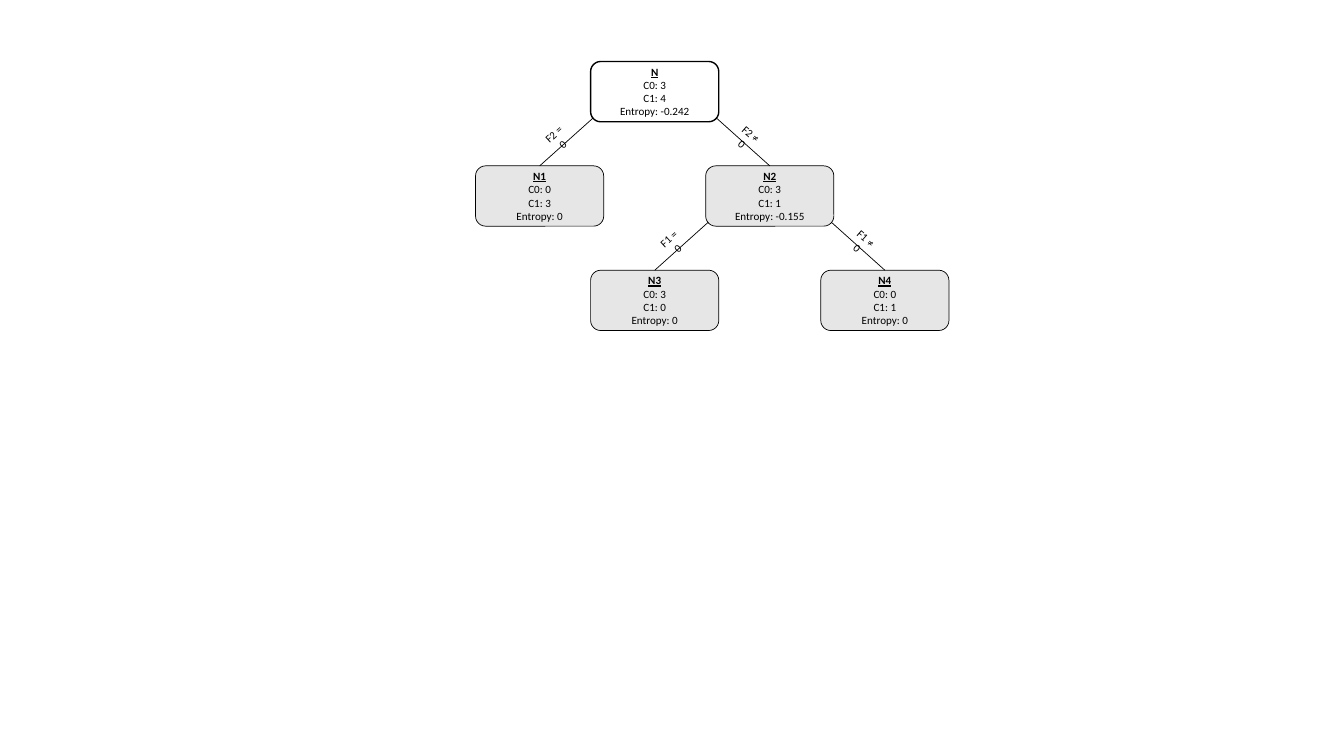
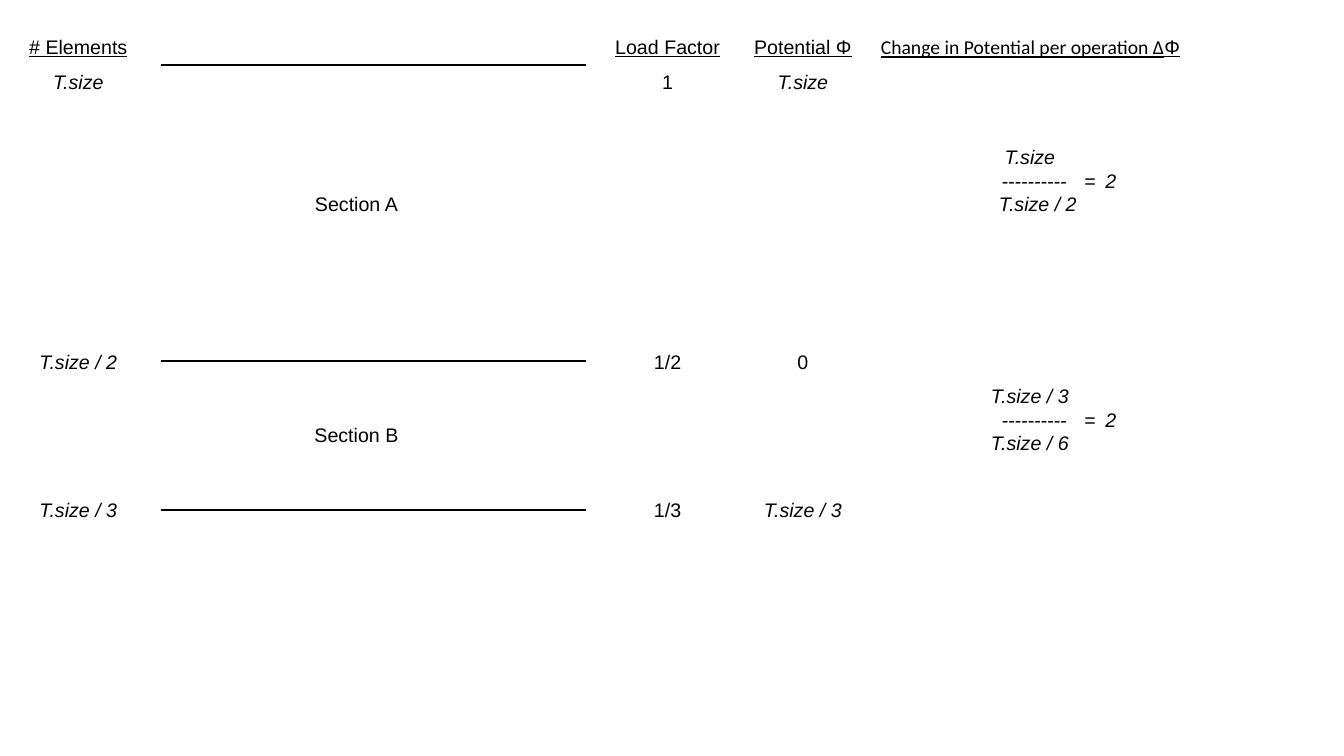
from lxml import etree
from pptx import Presentation
from pptx.dml.color import RGBColor
from pptx.enum.shapes import MSO_CONNECTOR, MSO_SHAPE
from pptx.enum.text import MSO_ANCHOR, MSO_AUTO_SIZE, PP_ALIGN
from pptx.oxml.ns import qn
from pptx.util import Cm, Pt

BLACK = RGBColor(0x00, 0x00, 0x00)
WHITE = RGBColor(0xFF, 0xFF, 0xFF)
LIGHT_GRAY = RGBColor(0xE7, 0xE6, 0xE6)
CENTER = PP_ALIGN.CENTER
LEFT = PP_ALIGN.LEFT
MIDDLE = MSO_ANCHOR.MIDDLE
FIT_SHAPE = MSO_AUTO_SIZE.SHAPE_TO_FIT_TEXT
STRAIGHT = MSO_CONNECTOR.STRAIGHT
ROUNDED = MSO_SHAPE.ROUNDED_RECTANGLE
BLANK_LAYOUT = 6
TOP_SIDE = 0

NODE_WIDTH, NODE_HEIGHT = 3.23, 1.52
LEVEL_TOP, LEVEL_STEP = 1.55, 2.63
ROOT_CENTER, BRANCH_STEP = 16.5, 2.9
CELL_WIDTH, CELL_HEIGHT = 3.23, 0.86


class Deck:
    tree_font, tree_size = "Calibri", 7.9
    table_font, table_size = "Arial", 14

    def __init__(self):
        self.presentation = Presentation()
        self.presentation.slide_width = Cm(33.87)
        self.presentation.slide_height = Cm(19.05)
        self.slide = None

    def new_slide(self):
        layout = self.presentation.slide_layouts[BLANK_LAYOUT]
        self.slide = self.presentation.slides.add_slide(layout)

    def add_run(self, paragraph, text, font, size, bold=False, italic=False, underline=False):
        run = paragraph.add_run()
        run.text = text
        run.font.name = font
        run.font.size = Pt(size)
        run.font.bold = bold
        run.font.italic = italic
        run.font.underline = underline
        run.font.color.rgb = BLACK

    def add_paragraph(self, frame, index, alignment=CENTER):
        paragraph = frame.add_paragraph() if index else frame.paragraphs[0]
        paragraph.alignment = alignment
        return paragraph

    def text_frame(self, left, top, width, height, rotation=0):
        box = self.slide.shapes.add_textbox(Cm(left), Cm(top), Cm(width), Cm(height))
        box.rotation = rotation
        box.text_frame.word_wrap = True
        box.text_frame.auto_size = FIT_SHAPE
        return box.text_frame

    def cell(self, left, top, text, width=CELL_WIDTH, **style):
        frame = self.text_frame(left, top, width, CELL_HEIGHT)
        paragraph = self.add_paragraph(frame, 0)
        self.add_run(paragraph, text, self.table_font, self.table_size, **style)

    def mixed_header(self, left, top, width, parts):
        paragraph = self.add_paragraph(self.text_frame(left, top, width, CELL_HEIGHT), 0)
        for text, font in parts:
            self.add_run(paragraph, text, font, self.table_size, underline=True)

    def fraction(self, left, top, numerator, denominator, indent):
        frame = self.text_frame(left, top, 5.03, 2.06)
        rows = (
            (numerator, CENTER, 0),
            ("\t----------\t=\t2", LEFT, 0),
            (denominator, CENTER, indent),
        )
        for index, (text, alignment, margin) in enumerate(rows):
            paragraph = self.add_paragraph(frame, index, alignment)
            self.add_run(paragraph, text, self.table_font, self.table_size, italic=True)
            properties = paragraph._p.get_or_add_pPr()
            if margin:
                properties.set("marL", str(Cm(margin)))
            if alignment == LEFT:
                tabs = etree.SubElement(properties, qn("a:tabLst"))
                for position in (1.55, 3.63, 4.17):
                    etree.SubElement(tabs, qn("a:tab"), pos=str(Cm(position)), algn="l")

    def line(self, start_x, start_y, end_x, end_y, weight):
        connector = self.slide.shapes.add_connector(
            STRAIGHT, Cm(start_x), Cm(start_y), Cm(end_x), Cm(end_y)
        )
        connector.line.color.rgb = BLACK
        connector.line.width = Pt(weight)
        etree.SubElement(connector._element.spPr, qn("a:effectLst"))
        return connector

    def node(self, center, top, name, details, fill, weight):
        shape = self.slide.shapes.add_shape(
            ROUNDED, Cm(center - NODE_WIDTH / 2), Cm(top), Cm(NODE_WIDTH), Cm(NODE_HEIGHT)
        )
        shape.shadow.inherit = False
        shape.fill.solid()
        shape.fill.fore_color.rgb = fill
        shape.line.color.rgb = BLACK
        shape.line.width = Pt(weight)
        frame = shape.text_frame
        frame.word_wrap = True
        frame.vertical_anchor = MIDDLE
        for index, text in enumerate((name, *details)):
            heading = index == 0
            self.add_run(
                self.add_paragraph(frame, index), text, self.tree_font, self.tree_size,
                bold=heading, underline=heading,
            )
        return shape

    def branch(self, parent_center, parent_top, side, child, text):
        connector = self.line(
            parent_center + side * 1.55, parent_top + 1.42,
            parent_center + side * BRANCH_STEP, parent_top + LEVEL_STEP, 0.5,
        )
        connector.end_connect(child, TOP_SIDE)
        width, height = 1.07, 0.94
        offset, rotation = (2.31, 41.2) if side > 0 else (-2.43, 317.7)
        frame = self.text_frame(
            parent_center + offset - width / 2, parent_top + 1.96 - height / 2,
            width, height, rotation,
        )
        self.add_run(self.add_paragraph(frame, 0), text, self.tree_font, self.tree_size)


def build_tree(deck):
    deck.new_slide()
    nodes = (
        ("N", 0, 0, 3, 4, "-0.242", None),
        ("N1", -1, 1, 0, 3, "0", (-1, "F2 = 0")),
        ("N2", 1, 1, 3, 1, "-0.155", (1, "F2 ≠ 0")),
        ("N3", 0, 2, 3, 0, "0", (-1, "F1 = 0")),
        ("N4", 2, 2, 0, 1, "0", (1, "F1 ≠ 0")),
    )
    for name, column, level, zeros, ones, entropy, edge in nodes:
        center = ROOT_CENTER + column * BRANCH_STEP
        top = LEVEL_TOP + level * LEVEL_STEP
        details = (f"C0: {zeros}", f"C1: {ones}", f"Entropy: {entropy}")
        fill, weight = (LIGHT_GRAY, 0.5) if edge else (WHITE, 1)
        shape = deck.node(center, top, name, details, fill, weight)
        if edge:
            side, label = edge
            deck.branch(center - side * BRANCH_STEP, top - LEVEL_STEP, side, shape, label)


def build_potential(deck):
    deck.new_slide()
    header_top = 0.76
    row_tops = (1.63, 8.69, 12.42)
    columns = (
        (0.36, "# Elements", ("T.size", "T.size / 2", "T.size / 3")),
        (15.21, "Load Factor", ("1", "1/2", "1/3")),
        (18.62, "Potential Φ", ("T.size", "0", "T.size / 3")),
    )
    for y in (1.63, 9.09, 12.85):
        deck.line(4.06, y, 14.78, y, 1.25)
    for left, header, values in columns:
        deck.cell(left, header_top, header, underline=True)
        for top, value in zip(row_tops, values):
            deck.cell(left, top, value, italic=value.startswith("T"))
    deck.mixed_header(
        21.87, header_top, 8.2,
        (("Change in Potential per operation Δ", "Calibri"), ("Φ", "Arial")),
    )
    sections = (
        ("Section A", 4.72, 3.53, "T.size", "T.size / 2", 0.4),
        ("Section B", 10.54, 9.55, "T.size / 3", "T.size / 6", 0),
    )
    for name, name_top, fraction_top, numerator, denominator, indent in sections:
        deck.cell(7.37, name_top, name)
        deck.fraction(23.44, fraction_top, numerator, denominator, indent)


def main():
    deck = Deck()
    build_tree(deck)
    build_potential(deck)
    deck.presentation.save("out.pptx")


if __name__ == "__main__":
    main()
